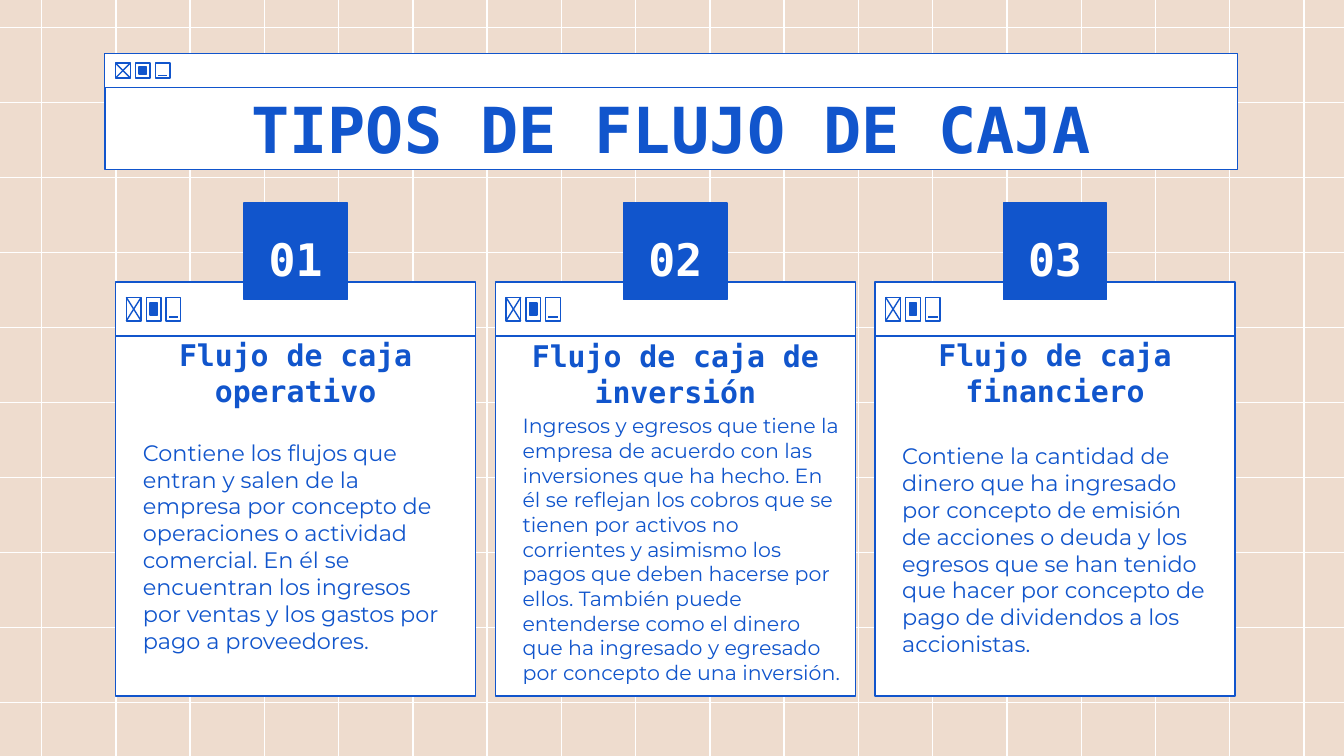
from pptx import Presentation
from pptx.dml.color import RGBColor
from pptx.enum.shapes import MSO_CONNECTOR as Connector, MSO_SHAPE as Shape
from pptx.enum.text import MSO_ANCHOR as Anchor, MSO_AUTO_SIZE as AutoSize, PP_ALIGN as Align
from pptx.oxml.ns import qn
from pptx.util import Inches, Pt

COLUMNS, ROWS = 100, 56.25
CELL = Inches(10) / COLUMNS
BLUE, WHITE, SAND = "1155CC", "FFFFFF", "EEDCCE"
MONO, SANS = "DejaVu Sans Mono", "Montserrat"
CARD_LEFT, CARD_PITCH, CARD_WIDTH = 8.6, 28.25, 26.8

CARDS = [
    {
        "number": "01",
        "heading": "Flujo de caja operativo",
        "heading_top": 25.9,
        "body": "Contiene los flujos que entran y salen de la empresa por concepto de "
                "operaciones o actividad comercial. En él se encuentran los ingresos "
                "por ventas y los gastos por pago a proveedores.",
        "body_rows": (32.9, 15.5),
        "body_width": 24.7,
        "body_size": 12,
    },
    {
        "number": "02",
        "heading": "Flujo de caja de inversión",
        "heading_top": 26,
        "body": "Ingresos y egresos que tiene la empresa de acuerdo con las inversiones "
                "que ha hecho. En él se reflejan los cobros que se tienen por activos no "
                "corrientes y asimismo los pagos que deben hacerse por ellos. También "
                "puede entenderse como el dinero que ha ingresado y egresado por concepto "
                "de una inversión.",
        "body_rows": (29.9, 21.9),
        "body_width": 25.7,
        "body_size": 11,
    },
    {
        "number": "03",
        "heading": "Flujo de caja financiero",
        "heading_top": 25.9,
        "body": "Contiene la cantidad de dinero que ha ingresado por concepto de emisión "
                "de acciones o deuda y los egresos que se han tenido que hacer por "
                "concepto de pago de dividendos a los accionistas.",
        "body_rows": (30.8, 20.2),
        "body_width": 24.7,
        "body_size": 12,
    },
]


def color(value):
    return RGBColor.from_string(value)


def cells(*lengths):
    return [round(length * CELL) for length in lengths]


def apply(target, values):
    for name, value in values.items():
        setattr(target, name, value)


def paint(shape, fill):
    if fill:
        shape.fill.solid()
        shape.fill.fore_color.rgb = color(fill)
    else:
        shape.fill.background()
    shape.line.color.rgb = color(BLUE)
    shape.line.width = Pt(0.75)


def add_panel(slide, left, top, width, height, fill=None):
    panel = slide.shapes.add_shape(Shape.RECTANGLE, *cells(left, top, width, height))
    panel.shadow.inherit = False
    paint(panel, fill)


def add_rule(slide, x1, y1, x2, y2, stroke=BLUE):
    rule = slide.shapes.add_connector(Connector.STRAIGHT, *cells(x1, y1, x2, y2))
    rule.line.color.rgb = color(stroke)
    rule.line.width = Pt(0.75)
    properties = rule._element.spPr
    properties.append(properties.makeelement(qn("a:effectLst"), {}))


def write(shape, text, size, face=MONO, ink=BLUE, bold=True, align=Align.CENTER):
    frame = shape.text_frame
    frame.text = text
    sides = ("margin_left", "margin_right", "margin_top", "margin_bottom")
    apply(frame, dict.fromkeys(sides, Inches(0.1)))
    apply(frame, {"word_wrap": True, "auto_size": AutoSize.NONE,
                  "vertical_anchor": Anchor.MIDDLE})
    paragraph = frame.paragraphs[0]
    apply(paragraph, {"alignment": align, "line_spacing": 1.0})
    font = paragraph.runs[0].font
    apply(font, {"name": face, "size": Pt(size), "bold": bold})
    font.color.rgb = color(ink)


def add_text(slide, left, top, width, height, text, size, **style):
    box = slide.shapes.add_textbox(*cells(left, top, width, height))
    write(box, text, size, **style)


def add_grid(slide):
    for column in range(18):
        x = 3.1 + column * 5.525
        add_rule(slide, x, 0, x, ROWS, WHITE)
    for row in range(10):
        y = 2.03 + row * 5.585
        add_rule(slide, 0, y, COLUMNS, y, WHITE)


def add_window_bar(slide, left, top, width, height, icon_height):
    add_panel(slide, left, top, width, height, WHITE)
    icon_width, icon_pitch = 1.1, 1.48
    icon_top = top + (height - icon_height) / 2
    close, restore, minimize = (left + 0.8 + icon_pitch * i for i in range(3))
    for icon_left in (close, restore, minimize):
        add_panel(slide, icon_left, icon_top, icon_width, icon_height)
    bottom = icon_top + icon_height
    add_rule(slide, close, icon_top, close + icon_width, bottom)
    add_rule(slide, close + icon_width, icon_top, close, bottom)
    add_panel(slide, restore + icon_width / 4, icon_top + icon_height / 4,
              icon_width / 2, icon_height / 2, BLUE)
    dash_y = icon_top + icon_height * 0.83
    add_rule(slide, minimize + 0.2, dash_y, minimize + icon_width - 0.2, dash_y)


def add_card(slide, left, card):
    add_panel(slide, left, 25, CARD_WIDTH, 26.8, WHITE)
    add_window_bar(slide, left, 21, CARD_WIDTH, 4, 1.75)
    text_left = left + 1.05
    body_top, body_height = card["body_rows"]
    add_text(slide, text_left, body_top, card["body_width"], body_height, card["body"],
             card["body_size"], face=SANS, bold=False, align=Align.LEFT)
    add_text(slide, text_left, card["heading_top"], 24.7, 3.6, card["heading"], 16)
    add_panel(slide, left + 9.55, 15.1, 7.7, 7.2, BLUE)
    add_text(slide, left + 8.5, 16.7, 9.8, 5.1, card["number"], 24, ink=WHITE)


def add_title(slide, text):
    left, width = 7.8, 84.3
    title = slide.shapes.title
    slide.shapes._spTree.append(title._element)
    bounds = cells(left, 6.5, width, 6.1)
    apply(title, dict(zip(("left", "top", "width", "height"), bounds)))
    paint(title, WHITE)
    write(title, text, 34)
    add_window_bar(slide, left, 4, width, 2.5, 1.1)


def main():
    presentation = Presentation()
    apply(presentation, {"slide_width": round(COLUMNS * CELL),
                         "slide_height": round(ROWS * CELL)})
    slide = presentation.slides.add_slide(presentation.slide_layouts[5])
    slide.background.fill.solid()
    slide.background.fill.fore_color.rgb = color(SAND)
    add_grid(slide)
    for index, card in enumerate(CARDS):
        add_card(slide, CARD_LEFT + index * CARD_PITCH, card)
    add_title(slide, "TIPOS DE FLUJO DE CAJA")
    presentation.save("out.pptx")


if __name__ == "__main__":
    main()
